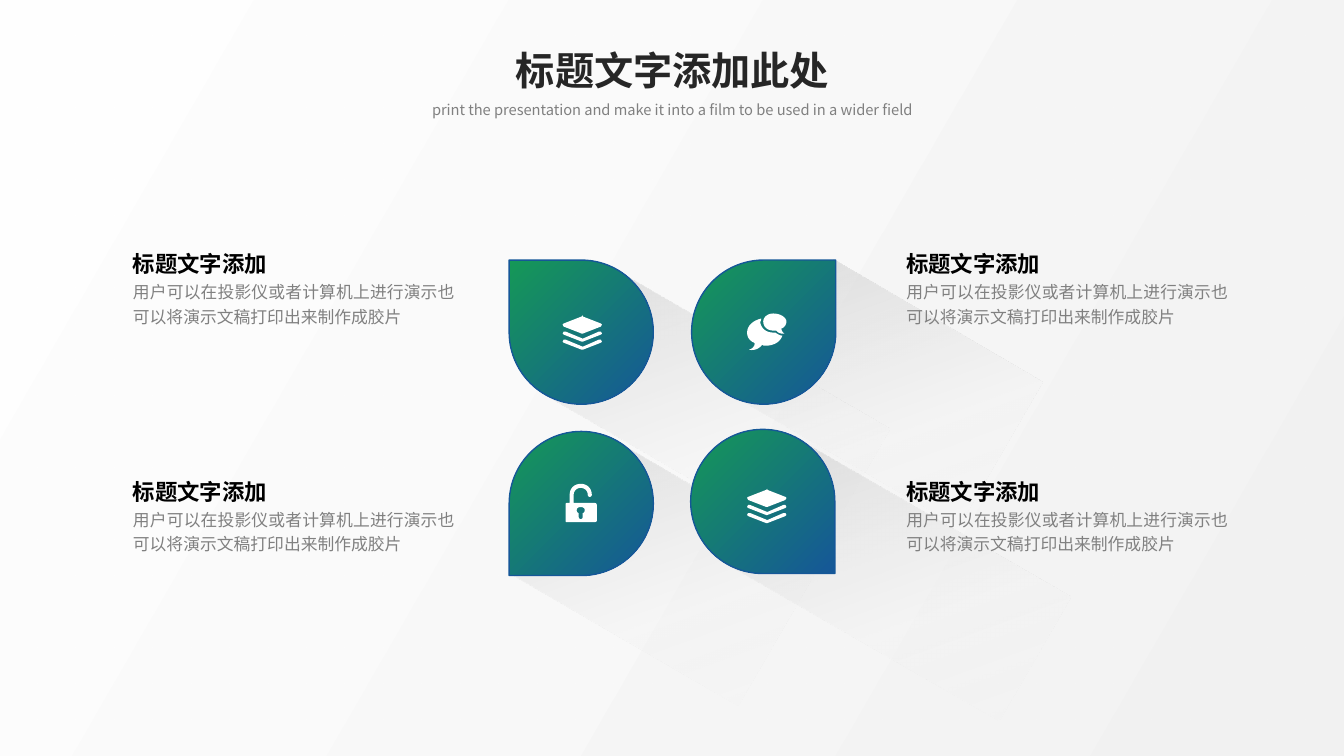
from lxml import etree
from pptx import Presentation
from pptx.dml.color import RGBColor
from pptx.enum.shapes import MSO_SHAPE
from pptx.enum.text import MSO_AUTO_SIZE, PP_ALIGN
from pptx.oxml.ns import qn
from pptx.util import Inches, Pt

RECTANGLE = MSO_SHAPE.RECTANGLE
TEARDROP = MSO_SHAPE.TEAR
CENTER, JUSTIFY = PP_ALIGN.CENTER, PP_ALIGN.JUSTIFY
FIT_SHAPE = MSO_AUTO_SIZE.SHAPE_TO_FIT_TEXT

FONT = "Noto Sans CJK SC"
GREY, WHITE, BLUE = "808080", "FFFFFF", "155798"
BACKDROP_STOPS = [(0, WHITE, 95), (100, "F2F2F2", 100)]
SHADOW_STOPS = [(0, "BFBFBF", 50), (61, "F2F2F2", 34), (100, "F2F2F2", 0)]
PETAL_STOPS = [(0, "159857", 100), (100, BLUE, 100)]

HEADING = "标题文字添加"
BODY = "用户可以在投影仪或者计算机上进行演示也可以将演示文稿打印出来制作成胶片"

SHADOW_OUTLINE = [(0, 1.33), (1.02, 0), (3.09, 1.21), (2.26, 2.64)]

SHEET = [(0, 0.09), (0.01, 0.08), (0.19, 0.01), (0.2, 0), (0.2, 0.01),
         (0.38, 0.08), (0.39, 0.09), (0.38, 0.11), (0.2, 0.18), (0.19, 0.18),
         (0.01, 0.11)]
CHEVRON = [(0, 0.18), (0.01, 0.16), (0.03, 0.16), (0.2, 0.23), (0.36, 0.16),
           (0.38, 0.16), (0.39, 0.18), (0.38, 0.19), (0.2, 0.26), (0.19, 0.26),
           (0.01, 0.19)]
LAYERS = [SHEET, CHEVRON, [(x, y + 0.08) for x, y in CHEVRON]]

FRONT_BUBBLE = [(0.34, 0.15), (0.34, 0.15, 0.34, 0.18, 0.37, 0.2),
                (0.37, 0.2, 0.32, 0.21, 0.29, 0.17),
                (0.28, 0.17, 0.27, 0.17, 0.26, 0.17),
                (0.2, 0.17, 0.16, 0.13, 0.16, 0.08),
                (0.16, 0.04, 0.2, 0, 0.26, 0),
                (0.33, 0, 0.39, 0.04, 0.39, 0.08),
                (0.39, 0.11, 0.37, 0.14, 0.34, 0.15)]
BACK_BUBBLE = [(0.13, 0.09), (0.14, 0.14, 0.18, 0.19, 0.26, 0.19), (0.28, 0.19),
               (0.31, 0.21, 0.33, 0.22, 0.35, 0.22),
               (0.33, 0.28, 0.27, 0.32, 0.18, 0.32),
               (0.17, 0.32, 0.16, 0.32, 0.15, 0.31),
               (0.1, 0.38, 0.02, 0.36, 0.02, 0.36),
               (0.08, 0.34, 0.08, 0.29, 0.07, 0.29),
               (0.02, 0.27, 0, 0.23, 0, 0.19),
               (0, 0.12, 0.06, 0.07, 0.14, 0.05),
               (0.14, 0.07, 0.13, 0.08, 0.13, 0.09)]
CHAT = [FRONT_BUBBLE, BACK_BUBBLE]

PADLOCK_BODY = [(0.29, 0.38), (0.01, 0.38), (0, 0.38, 0, 0.37, 0, 0.37),
                (0, 0.21), (0, 0.2, 0, 0.19, 0.01, 0.19), (0.04, 0.19),
                (0.04, 0.11), (0.04, 0.04, 0.09, 0, 0.15, 0),
                (0.21, 0, 0.26, 0.04, 0.26, 0.11),
                (0.26, 0.12, 0.25, 0.13, 0.24, 0.13),
                (0.23, 0.13, 0.22, 0.12, 0.22, 0.11),
                (0.22, 0.07, 0.19, 0.04, 0.15, 0.04),
                (0.11, 0.04, 0.08, 0.07, 0.08, 0.11), (0.08, 0.19),
                (0.29, 0.19), (0.3, 0.19, 0.31, 0.2, 0.31, 0.21), (0.31, 0.37),
                (0.31, 0.37, 0.3, 0.38, 0.29, 0.38)]
KEYHOLE = [(0.15, 0.23), (0.13, 0.23, 0.11, 0.24, 0.11, 0.26),
           (0.11, 0.28, 0.12, 0.29, 0.13, 0.29), (0.13, 0.33),
           (0.13, 0.34, 0.14, 0.35, 0.15, 0.35),
           (0.16, 0.35, 0.17, 0.34, 0.17, 0.33), (0.17, 0.29),
           (0.18, 0.29, 0.19, 0.28, 0.19, 0.26),
           (0.19, 0.24, 0.17, 0.23, 0.15, 0.23)]
PADLOCK = [PADLOCK_BODY, KEYHOLE]


def rgb(value):
    """Turn a hex string into a colour."""
    return RGBColor.from_string(value)


def flatten(outline, steps=8):
    """Turn points and Bezier segments into plain points."""
    points = []
    for segment in outline:
        if len(segment) == 2:
            points.append(segment)
            continue
        x0, y0 = points[-1]
        x1, y1, x2, y2, x3, y3 = segment
        for step in range(1, steps + 1):
            t = step / steps
            a, b, c, d = (1 - t) ** 3, 3 * t * (1 - t) ** 2, 3 * t * t * (1 - t), t ** 3
            points.append((a * x0 + b * x1 + c * x2 + d * x3,
                           a * y0 + b * y1 + c * y2 + d * y3))
    return points


def set_gradient(shape, stops, angle):
    """Fill a shape with a gradient that keeps its direction on the slide."""
    shape.fill.background()
    blank = shape._element.spPr.find(qn("a:noFill"))
    gradient = etree.Element(qn("a:gradFill"), rotWithShape="0")
    stop_list = etree.SubElement(gradient, qn("a:gsLst"))
    for position, color, opacity in stops:
        stop = etree.SubElement(stop_list, qn("a:gs"), pos=str(position * 1000))
        tint = etree.SubElement(stop, qn("a:srgbClr"), val=color)
        if opacity < 100:
            etree.SubElement(tint, qn("a:alpha"), val=str(opacity * 1000))
    etree.SubElement(gradient, qn("a:lin"), ang=str(angle * 60000), scaled="0")
    blank.getparent().replace(blank, gradient)


def add_gradient_shape(slide, kind, box, stops, angle, rotation=0):
    """Add a borderless preset shape with a gradient."""
    shape = slide.shapes.add_shape(kind, *map(Inches, box))
    shape.rotation = rotation
    shape.shadow.inherit = False
    shape.line.fill.background()
    set_gradient(shape, stops, angle)
    return shape


def add_outline(slide, left, top, contours):
    """Add a borderless free outline made of one or more contours."""
    builder = None
    for contour in contours:
        points = [(Inches(left + x), Inches(top + y)) for x, y in flatten(contour)]
        if builder is None:
            builder = slide.shapes.build_freeform(*points[0])
        else:
            builder.move_to(*points[0])
        builder.add_line_segments(points[1:], close=True)
    shape = builder.convert_to_shape()
    shape.shadow.inherit = False
    shape.line.fill.background()
    return shape


def add_petal(slide, left, top, rotation):
    """Add a teardrop petal."""
    petal = add_gradient_shape(slide, TEARDROP, (left, top, 1.43, 1.43),
                               PETAL_STOPS, 45, rotation)
    petal.line.color.rgb = rgb(BLUE)
    petal.line.width = Pt(1)


def add_icon(slide, left, top, contours):
    """Add a white icon."""
    icon = add_outline(slide, left, top, contours)
    icon.fill.solid()
    icon.fill.fore_color.rgb = rgb(WHITE)


def add_text(slide, box, text, size, color, bold=False, align=JUSTIFY, spacing=1.2):
    """Add a wrapped one-paragraph text box."""
    frame = slide.shapes.add_textbox(*map(Inches, box)).text_frame
    frame.word_wrap = True
    frame.auto_size = FIT_SHAPE
    paragraph = frame.paragraphs[0]
    paragraph.alignment = align
    paragraph.line_spacing = spacing
    run = paragraph.add_run()
    run.text = text
    run.font.size = Pt(size)
    run.font.bold = bold
    run.font.color.rgb = rgb(color)
    run.font.name = FONT
    etree.SubElement(run._r.get_or_add_rPr(), qn("a:ea"), typeface=FONT)


def main():
    """Build the four-petal slide."""
    deck = Presentation()
    deck.slide_width, deck.slide_height = Inches(13.33), Inches(7.5)
    slide = deck.slides.add_slide(deck.slide_layouts[6])

    add_gradient_shape(slide, RECTANGLE, (0, 0, 13.33, 7.5), BACKDROP_STOPS, 30)
    for left, top in [(7.25, 2.58), (5.06, 4.36)]:
        set_gradient(add_outline(slide, left, top, [SHADOW_OUTLINE]), SHADOW_STOPS, 70)
    for left, top in [(5.51, 3.36), (7.3, 5.03)]:
        add_gradient_shape(slide, RECTANGLE, (left, top, 3.17, 1.42),
                           SHADOW_STOPS, 70, 30)

    for left, top, rotation in [(6.86, 2.58, 0), (5.05, 2.58, 270),
                                (5.05, 4.28, 180), (6.85, 4.26, 90)]:
        add_petal(slide, left, top, rotation)
    for left, top, icon in [(5.58, 3.13, LAYERS), (7.41, 3.11, CHAT),
                            (5.61, 4.8, PADLOCK), (7.41, 4.85, LAYERS)]:
        add_icon(slide, left, top, icon)

    for left in (1.22, 8.89):
        for top in (2.38, 4.64):
            add_text(slide, (left, top + 0.33, 3.39, 0.59), BODY, 12, GREY)
            add_text(slide, (left, top, 2.24, 0.4), HEADING, 16, "000000", bold=True)

    add_text(slide, (4.87, 0.41, 3.6, 0.57), "标题文字添加此处", 28, "262626",
             bold=True, align=CENTER, spacing=1.0)
    add_text(slide, (4, 0.92, 5.34, 0.3),
             "print the presentation and make it into a film to be used in a wider field",
             10.5, GREY, align=CENTER)
    deck.save("out.pptx")


if __name__ == "__main__":
    main()
